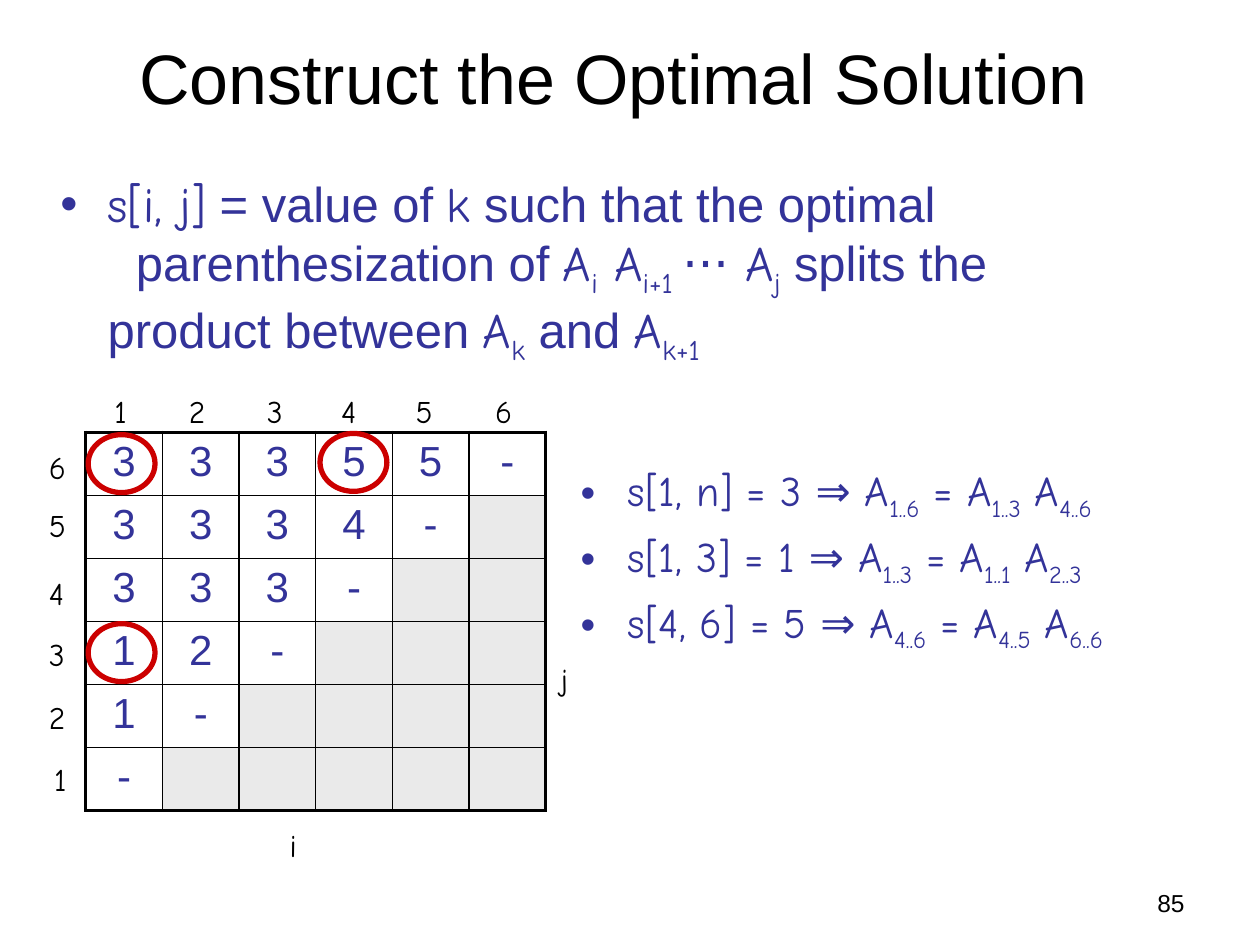
"""Build the slide that reads an optimal matrix-chain product out of the table s."""
from dataclasses import dataclass

from lxml import etree
from pptx import Presentation
from pptx import util as u
from pptx.dml.color import RGBColor
from pptx.enum import shapes, text
from pptx.oxml.ns import qn

COLORS = {"ink": "000000", "blue": "333399", "grey": "EAEAEA", "red": "CC0000"}
SANS, HAND = "Arial", "Comic Neue"
INDENT = 27
ROW_HEIGHT, COLUMN_WIDTH = 35.1, 43.8
SPLITS = ["33355-", "3334-", "333-", "12-", "1-", "-"]


@dataclass
class Box:
    left: float
    top: float
    width: float
    height: float

    def lengths(self) -> list:
        return [u.Pt(v) for v in (self.left, self.top, self.width, self.height)]


@dataclass
class Run:
    text: str
    font: str = HAND
    sub: bool = False


@dataclass
class Label:
    text: str
    left: float
    top: float


COLUMN_LABELS = [Label(str(n), left, 220.3) for n, left in
                 enumerate((58.3, 100.8, 145.4, 187.9, 230.4, 275.8), 1)]
ROW_LABELS = [Label(str(n), 23.8 if n == 1 else 20.9, top) for n, top in
              enumerate((430.6, 395.3, 359.3, 324.7, 285.8, 252.7), 1)]
AXIS_LABELS = [Label("i", 158.4, 468.7), Label("j", 313.2, 373.7)]
CHOSEN = [Box(50.4, 248.4, 38.2, 33.1), Box(50.4, 356.4, 38.2, 33.1),
          Box(182.9, 247.7, 38.2, 33.1)]

DEFINITION = [
    Run("s[i, j]"), Run(" = value of ", SANS), Run("k"),
    Run(" such that the optimal", SANS), Run("\n"),
    Run("\tparenthesization of ", SANS), Run("A"), Run("i", sub=True),
    Run(" A"), Run("i+1 ", sub=True), Run("⋅⋅⋅ A"), Run("j", sub=True),
    Run(" splits the", SANS), Run("\n"), Run("product between ", SANS),
    Run("A"), Run("k", sub=True), Run(" and ", SANS), Run("A"), Run("k+1", sub=True),
]
STEPS = [("s[1, n] = 3", "1..6", "1..3", "4..6"),
         ("s[1, 3] = 1", "1..3", "1..1", "2..3"),
         ("s[4, 6] = 5", "4..6", "4..5", "6..6")]


def rgb(name: str) -> RGBColor:
    return RGBColor.from_string(COLORS[name])


def style(font, size: float, color: str, name: str = "") -> None:
    font.size = u.Pt(size)
    font.color.rgb = rgb(color)
    if name:
        font.name = name


def add_frame(slide, box: Box, wrap: bool = True):
    frame = slide.shapes.add_textbox(*box.lengths()).text_frame
    frame.word_wrap = wrap
    return frame


def add_line(slide, box: Box, words: str, size: float, name: str,
             align=text.PP_ALIGN.LEFT, wrap: bool = True):
    frame = add_frame(slide, box, wrap)
    line = frame.paragraphs[0]
    line.text = words
    line.alignment = align
    style(line.font, size, "ink", name)
    return frame


def add_label(slide, label: Label) -> None:
    add_line(slide, Box(label.left, label.top, 25.2, 28.8), label.text, 18, HAND, wrap=False)


def fill_bullet(paragraph, runs: list[Run], size: float, tab: float = 0) -> None:
    props = paragraph._p.get_or_add_pPr()
    props.set("marL", str(u.Pt(INDENT)))
    props.set("indent", str(-u.Pt(INDENT)))
    etree.SubElement(props, qn("a:buFont"), typeface=SANS)
    etree.SubElement(props, qn("a:buChar"), char="•")
    if tab:
        stops = etree.SubElement(props, qn("a:tabLst"))
        etree.SubElement(stops, qn("a:tab"), pos=str(u.Pt(tab)), algn="l")
    fonts = {run.font for run in runs}
    style(paragraph.font, size, "blue", HAND if fonts == {HAND} else "")
    for part in runs:
        if part.text == "\n":
            paragraph.add_line_break()
            continue
        run = paragraph.add_run()
        run.text = part.text
        if len(fonts) > 1:
            run.font.name = part.font
        if part.sub:
            run._r.get_or_add_rPr().set("baseline", "-25000")


def set_borders(cell, widths: dict[str, float]) -> None:
    props = cell._tc.get_or_add_tcPr()
    for place, (side, width) in enumerate(widths.items()):
        line = etree.Element(qn(f"a:ln{side}"), w=str(u.Pt(width)))
        solid = etree.SubElement(line, qn("a:solidFill"))
        etree.SubElement(solid, qn("a:srgbClr"), val=COLORS["ink"])
        props.insert(place, line)


def add_splits(slide, left: float, top: float) -> None:
    count = len(SPLITS)
    box = Box(left, top, COLUMN_WIDTH * count, ROW_HEIGHT * count)
    table = slide.shapes.add_table(count, count, *box.lengths()).table
    table.first_row = table.horz_banding = False
    for n in range(count):
        table.columns[n].width = u.Pt(COLUMN_WIDTH)
        table.rows[n].height = u.Pt(ROW_HEIGHT)
    for r, values in enumerate(SPLITS):
        for c in range(count):
            cell = table.cell(r, c)
            if c < len(values):
                cell.fill.background()
                entry = cell.text_frame.paragraphs[0]
                entry.text = values[c]
                entry.alignment = text.PP_ALIGN.CENTER
                style(entry.font, 24, "blue", SANS)
            else:
                cell.fill.solid()
                cell.fill.fore_color.rgb = rgb("grey")
            outer = {"L": c == 0, "R": c == count - 1, "T": r == 0, "B": r == count - 1}
            set_borders(cell, {side: 2.25 if edge else 1 for side, edge in outer.items()})


def add_ring(slide, box: Box) -> None:
    ring = slide.shapes.add_shape(shapes.MSO_SHAPE.OVAL, *box.lengths())
    ring.shadow.inherit = False
    ring.fill.background()
    ring.line.color.rgb = rgb("red")
    ring.line.width = u.Pt(3)


def main() -> None:
    deck = Presentation()
    deck.slide_width, deck.slide_height = u.Pt(720), u.Pt(540)
    slide = deck.slides.add_slide(deck.slide_layouts[6])

    add_line(slide, Box(516.2, 504, 167.8, 25.2), "85", 14, SANS, text.PP_ALIGN.RIGHT)
    title = add_line(slide, Box(26.6, 7.9, 648, 71.3), "Construct the Optimal Solution",
                     40, SANS, text.PP_ALIGN.CENTER)
    title.vertical_anchor = text.MSO_ANCHOR.MIDDLE
    definition = add_frame(slide, Box(27.4, 95.8, 648, 118.8))
    fill_bullet(definition.paragraphs[0], DEFINITION, 28, tab=43.2)

    add_splits(slide, 49, 247)
    for label in COLUMN_LABELS + ROW_LABELS + AXIS_LABELS:
        add_label(slide, label)

    steps = add_frame(slide, Box(324.7, 262.1, 370.8, 170.6))
    for n, (choice, whole, first, second) in enumerate(STEPS):
        step = steps.add_paragraph() if n else steps.paragraphs[0]
        fill_bullet(step, [Run(f"{choice} ⇒ A"), Run(whole, sub=True), Run(" = A"),
                           Run(first, sub=True), Run(" A"), Run(second, sub=True)], 24)
        if n:
            step.space_before = u.Pt(4.8)

    for box in CHOSEN:
        add_ring(slide, box)
    deck.save("out.pptx")


if __name__ == "__main__":
    main()
